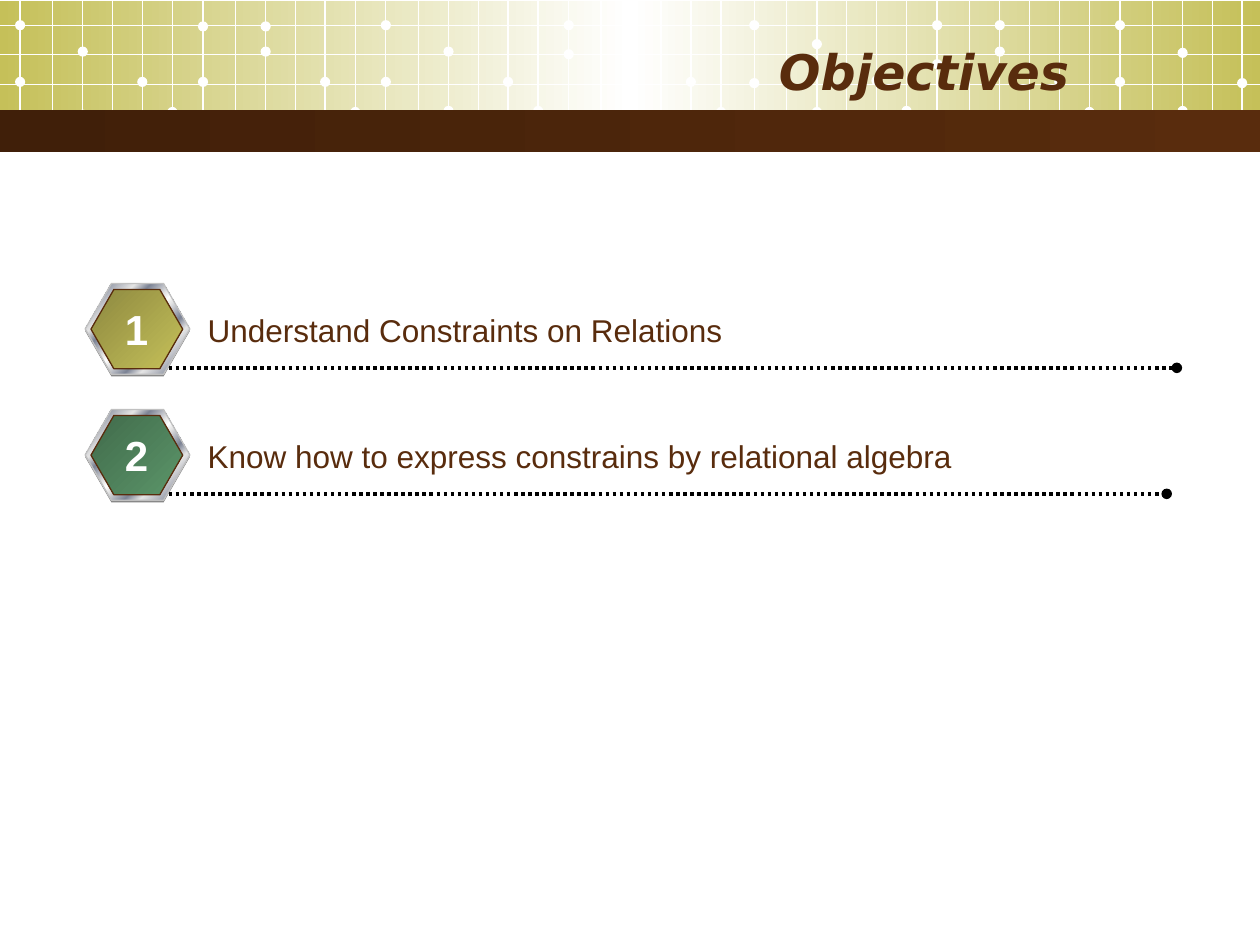
from pptx import Presentation
from pptx.dml.color import RGBColor
from pptx.enum.dml import MSO_LINE
from pptx.enum.shapes import MSO_CONNECTOR, MSO_SHAPE
from pptx.enum.text import MSO_ANCHOR, MSO_AUTO_SIZE, PP_ALIGN
from pptx.oxml.ns import qn
from pptx.util import Pt
from lxml.etree import SubElement

HUES = {
    "white": "FFFFFF", "black": "000000", "brown": "592C0D", "dark": "401F09",
    "olive": "C5C059", "moss": "8D8940", "green": "5B9569", "pine": "416B4B",
    "gray": "808080", "edge": "C0C0C0", "light": "E6E6E6", "steel": "7D8496",
}
STEEL = [(0, "light"), (8, "steel"), (26, "light"), (34, "steel"),
         (46, "light"), (50, "white"), (54, "light"), (66, "steel"),
         (74, "light"), (92, "steel"), (100, "light")]

STARTS = [11.5, 116, 220.5, 325, 431, 535.5, 640]
STEPS = [0, 18.5, 35.8, 52.8, 69.8, 87]
ROWS = [14.4, 31, 48.2, 64.1]
DOT_COLS = [0, 0, 2, 2, 4, 5]
DOT_ROWS = [
    [46.8, 14.4, 29.5, 65.5, 46.8, 64],
    [46.8, 15.1, 29.5, 15.1, 46.8, 64],
    [46.8, 14.4, 29.5, 63.4, 46.8, 63.4],
    [31, 14.4, 30.2, 14.4, 46.8, 64],
    [47.5, 14.4, 25.2, 64, 46.1, 63.4],
    [36.7, 14.4, 29.5, 14.4, 46.8, 64],
    [46.8, 14.4, 30.2, 63.4, 47.5],
]
ITEMS = [
    ("Understand Constraints on Relations", "moss", "olive", 672.5, 382.5),
    ("Know how to express constrains by relational algebra",
     "pine", "green", 666.7, 463.7),
]


def hue(name):
    return RGBColor.from_string(HUES[name])


def blend(shape, stops, angle):
    shape.fill.gradient()
    shape.fill.gradient_angle = 360 - angle
    stop_list = shape.element.spPr.find(qn("a:gradFill")).find(qn("a:gsLst"))
    for old in list(stop_list):
        stop_list.remove(old)
    for place, name in stops:
        stop = SubElement(stop_list, qn("a:gs"), pos=str(place * 1000))
        SubElement(stop, qn("a:srgbClr"), val=HUES[name])


def add_form(slide, kind, box, fill, angle=0, edge=None):
    shape = slide.shapes.add_shape(kind, *map(Pt, box))
    shape.shadow.inherit = False
    if isinstance(fill, str):
        shape.fill.solid()
        shape.fill.fore_color.rgb = hue(fill)
    else:
        blend(shape, fill, angle)
    if edge:
        shape.line.color.rgb = hue(edge)
        shape.line.width = Pt(0.75)
    else:
        shape.line.fill.background()
    return shape


def add_line(slide, ends, name, width, dotted=False):
    line = slide.shapes.add_connector(MSO_CONNECTOR.STRAIGHT, *map(Pt, ends))
    line.line.color.rgb = hue(name)
    line.line.width = Pt(width)
    if dotted:
        line.line.dash_style = MSO_LINE.ROUND_DOT
        SubElement(line.line._get_or_add_ln(), qn("a:tailEnd"), type="oval")
    SubElement(line.element.spPr, qn("a:effectLst"))


def add_run(frame, text, size, name, font="Arial", bold=False, slant=False):
    run = frame.paragraphs[0].add_run()
    run.text = text
    run.font.name = font
    run.font.size = Pt(size)
    run.font.bold = bold
    run.font.italic = slant
    run.font.color.rgb = hue(name)


def add_text(slide, box, text, size, name, wrap=True, bold=False):
    frame = slide.shapes.add_textbox(*map(Pt, box)).text_frame
    frame.word_wrap = wrap
    frame.auto_size = MSO_AUTO_SIZE.SHAPE_TO_FIT_TEXT
    if not wrap:
        frame.paragraphs[0].alignment = PP_ALIGN.CENTER
    add_run(frame, text, size, name, bold=bold)


def add_band(slide):
    add_form(slide, MSO_SHAPE.RECTANGLE, (0, 0.5, 720, 73.5),
             [(0, "olive"), (50, "white"), (100, "olive")])
    size = 5.8
    for start, dots in zip(STARTS, DOT_ROWS):
        for step in STEPS:
            if start + step < 720:
                add_line(slide, (start + step, 0, start + step, 79), "white", 0.75)
        for col, mid in zip(DOT_COLS, dots):
            left = start + STEPS[col] - size / 2
            add_form(slide, MSO_SHAPE.OVAL,
                     (left, mid - size / 2, size, size), "white")
    for row in ROWS:
        add_line(slide, (0, row, 720, row), "white", 0.75)
    add_form(slide, MSO_SHAPE.RECTANGLE, (0, 63, 720, 24),
             [(0, "dark"), (100, "brown")])


def add_title(slide, text):
    title = slide.shapes.title
    title.left, title.top, title.width, title.height = map(Pt, (36, 18, 582, 45))
    slide.shapes.element.append(title.element)
    frame = title.text_frame
    frame.auto_size = MSO_AUTO_SIZE.NONE
    frame.vertical_anchor = MSO_ANCHOR.MIDDLE
    frame.paragraphs[0].alignment = PP_ALIGN.RIGHT
    add_run(frame, text, 28, "brown", "DejaVu Sans", True, True)


def add_badge(slide, top, dark, light):
    layers = [
        ((48.7, top + 1.2, 59.8, 52), "gray", None),
        ((48.7, top, 59.8, 52), STEEL, "edge"),
        ((52, top + 3.4, 52.4, 45.4), [(0, dark), (100, light)], "brown"),
    ]
    for box, fill, edge in layers:
        form = add_form(slide, MSO_SHAPE.HEXAGON, box, fill, 45, edge)
        form.adjustments[0] = 0.289


def add_item(slide, count, item):
    text, dark, light, end, width = item
    top = 90 + 72 * count
    add_badge(slide, top, dark, light)
    add_line(slide, (96.5, top + 48.2, end, top + 48.2), "black", 2, True)
    add_text(slide, (111.6, top + 12.3, width, 29), text, 18, "brown")
    add_text(slide, (64, top + 8, 28, 36), str(count), 24, "white", False, True)


def main():
    deck = Presentation()
    deck.slide_width, deck.slide_height = Pt(720), Pt(540)
    slide = deck.slides.add_slide(deck.slide_layouts[5])
    add_band(slide)
    add_title(slide, "Objectives")
    for count, item in enumerate(ITEMS, 1):
        add_item(slide, count, item)
    deck.save("out.pptx")


if __name__ == "__main__":
    main()
